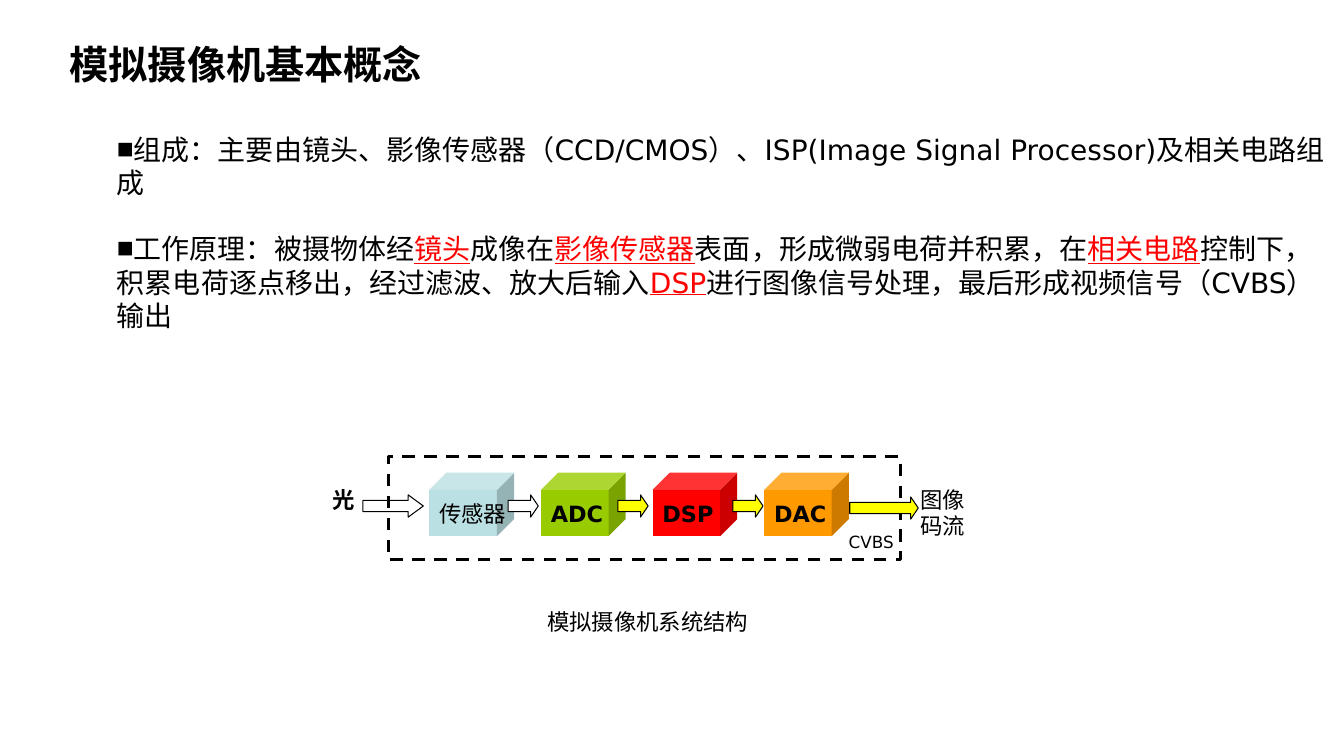
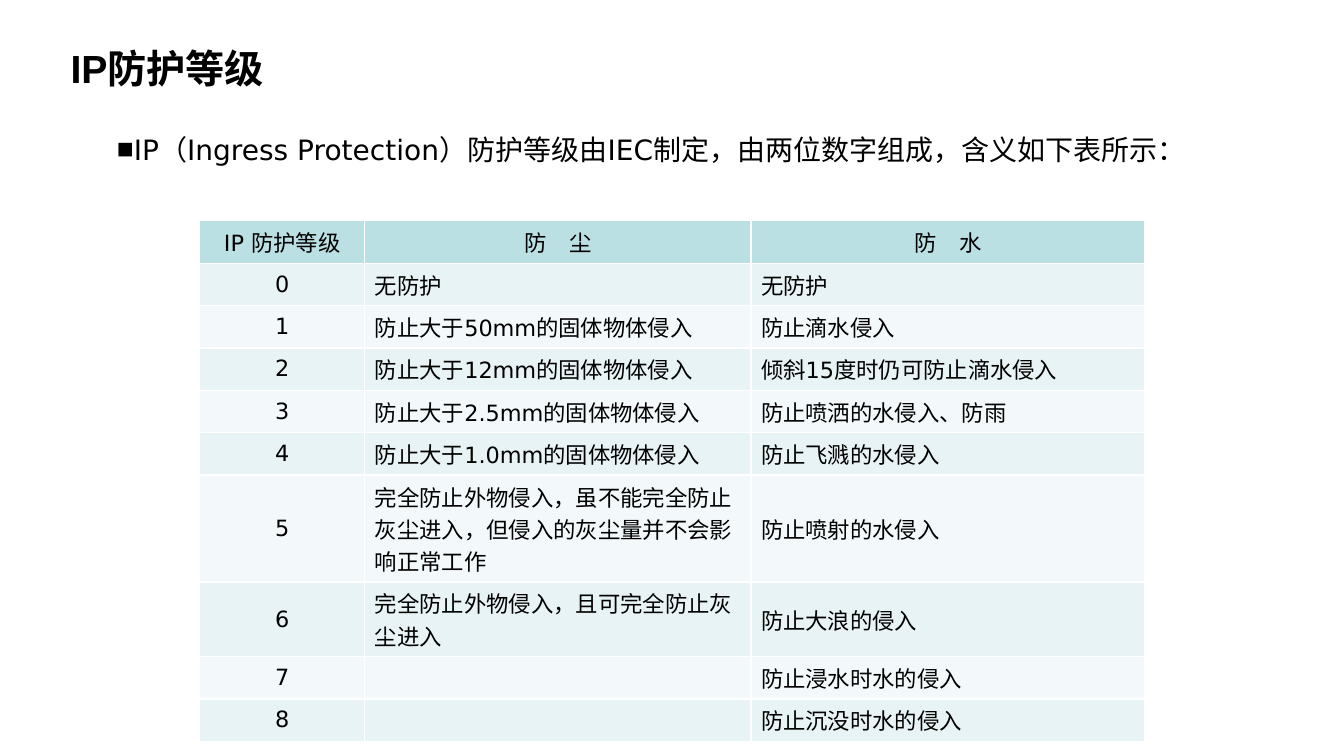
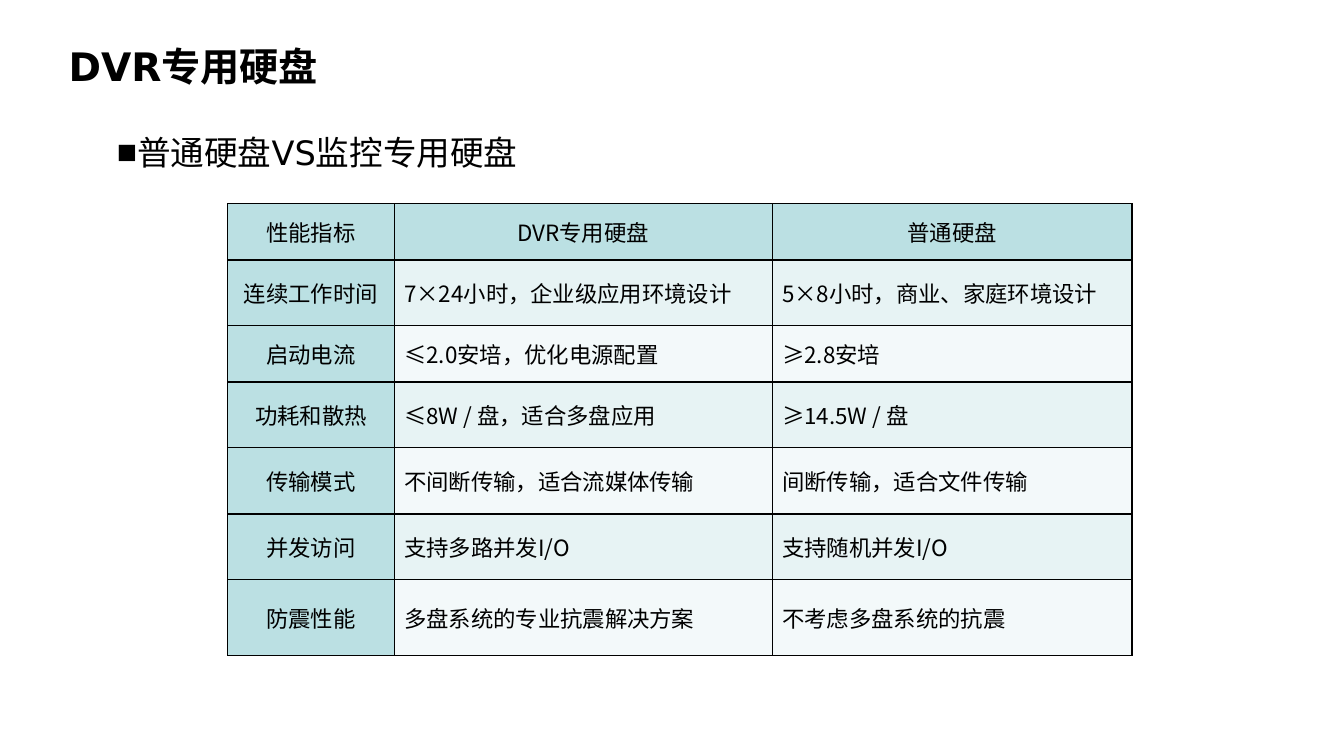
from lxml.etree import SubElement
from pptx import Presentation
from pptx.dml.color import RGBColor
from pptx.enum.dml import MSO_LINE
from pptx.enum.shapes import MSO_SHAPE
from pptx.enum.text import MSO_ANCHOR, MSO_AUTO_SIZE, PP_ALIGN
from pptx.oxml.ns import qn
from pptx.util import Inches, Pt

COLORS = {
    "ink": "000000", "paper": "FFFFFF", "accent": "FF0000", "header": "BBE0E3",
    "band": "E7F3F4", "pale": "F3F9FA", "green": "99CC00", "orange": "FF9900",
    "yellow": "FFFF00",
}
SANS, HEADING, CHINESE = "DejaVu Sans", "Arial", "Noto Sans CJK SC"
CELL = 0.1
COLUMNS, ROWS = 133.33, 75
LEADING = 1.2


def grid(*cells):
    return [Inches(cell * CELL) for cell in cells]


def color(name):
    return RGBColor.from_string(COLORS[name])


class Deck:
    def __init__(self):
        self.file = Presentation()
        self.file.slide_width, self.file.slide_height = grid(COLUMNS, ROWS)
        self.page = None

    def style(self, span, size, font=SANS, bold=False, ink="ink"):
        span.font.size = Pt(size)
        span.font.bold = bold
        span.font.color.rgb = color(ink)
        span.font.name = font
        properties = span.font._element
        SubElement(properties, qn("a:ea")).set("typeface", CHINESE)

    def move(self, shape, place):
        shape.left, shape.top, shape.width, shape.height = grid(*place)

    def new_page(self, title, left, top, font=HEADING):
        self.page = self.file.slides.add_slide(self.file.slide_layouts[1])
        box = self.page.shapes.title
        self.move(box, (left, top, 99.7, 5.5))
        frame = box.text_frame
        frame.text = title
        frame.auto_size = MSO_AUTO_SIZE.NONE
        frame.vertical_anchor = MSO_ANCHOR.MIDDLE
        frame.paragraphs[0].alignment = PP_ALIGN.LEFT
        self.style(frame.paragraphs[0].runs[0], 28, font, True)

    def bullets(self, items, size=20):
        box = self.page.placeholders[1]
        self.move(box, (10.6, 12.3, 122.8, 58.3))
        frame = box.text_frame
        frame.auto_size = MSO_AUTO_SIZE.NONE
        frame.margin_top = Inches(0.08)
        for index, item in enumerate(items):
            para = frame.add_paragraph() if index else frame.paragraphs[0]
            properties = para._p.get_or_add_pPr()
            properties.set("marL", "0")
            properties.set("indent", "0")
            ink = SubElement(properties, qn("a:buClr"))
            SubElement(ink, qn("a:srgbClr")).set("val", COLORS["ink"])
            SubElement(properties, qn("a:buFont")).set("typeface", HEADING)
            SubElement(properties, qn("a:buChar")).set("char", "■")
            para.line_spacing = Pt(size * LEADING)
            para.space_before = Pt(23 if index else 0)
            for order, piece in enumerate(item.split("|")):
                marked = order % 2 == 1
                span = para.add_run()
                span.text = piece
                self.style(span, size, ink="accent" if marked else "ink")
                span.font.underline = marked

    def shape(self, kind, place, fill=None, line=None, adjustments=()):
        shape = self.page.shapes.add_shape(kind, *grid(*place))
        shape.shadow.inherit = False
        for index, value in enumerate(adjustments):
            shape.adjustments[index] = value
        if fill:
            shape.fill.solid()
            shape.fill.fore_color.rgb = color(fill)
        else:
            shape.fill.background()
        if line:
            shape.line.color.rgb = color("ink")
            shape.line.width = Pt(line)
        else:
            shape.line.fill.background()
        return shape

    def cube(self, text, place, fill, bold=True):
        frame = self.shape(MSO_SHAPE.CUBE, place, fill, adjustments=[0.27]).text_frame
        frame.text = text
        frame.word_wrap = False
        frame.vertical_anchor = MSO_ANCHOR.MIDDLE
        frame.paragraphs[0].alignment = PP_ALIGN.LEFT
        self.style(frame.paragraphs[0].runs[0], 16, bold=bold)

    def arrow(self, place, fill, head=0.34):
        self.shape(MSO_SHAPE.RIGHT_ARROW, place, fill, 0.75, [0.5, head])

    def dashed_frame(self, place):
        frame = self.shape(MSO_SHAPE.RECTANGLE, place, line=2.25)
        frame.line.dash_style = MSO_LINE.DASH

    def label(self, text, place, size=16, bold=False):
        frame = self.page.shapes.add_textbox(*grid(*place)).text_frame
        frame.text = text
        frame.word_wrap = True
        para = frame.paragraphs[0]
        para.line_spacing = Pt(size * LEADING)
        self.style(para.runs[0], size, bold=bold)

    def borders(self, cell, ink):
        properties = cell._tc.get_or_add_tcPr()
        for side in ("lnL", "lnR", "lnT", "lnB"):
            edge = SubElement(properties, qn(f"a:{side}"), w=str(Pt(1)))
            fill = SubElement(edge, qn("a:solidFill"))
            SubElement(fill, qn("a:srgbClr")).set("val", COLORS[ink])

    def table(self, left, top, widths, heights, content, ink, font=SANS, header_column=False):
        place = grid(left, top, sum(widths), sum(heights))
        table = self.page.shapes.add_table(len(heights), len(widths), *place).table
        table.first_row = table.horz_banding = False
        for column, width in zip(table.columns, grid(*widths)):
            column.width = width
        for row, height in zip(table.rows, grid(*heights)):
            row.height = height
        for row, texts in enumerate(content):
            for column, text in enumerate(texts):
                cell = table.cell(row, column)
                self.borders(cell, ink)
                is_header = row == 0 or (header_column and column == 0)
                fill = "header" if is_header else "band" if row % 2 else "pale"
                cell.fill.solid()
                cell.fill.fore_color.rgb = color(fill)
                cell.vertical_anchor = MSO_ANCHOR.MIDDLE
                cell.text_frame.text = text
                para = cell.text_frame.paragraphs[0]
                centred = row == 0 or column == 0
                para.alignment = PP_ALIGN.CENTER if centred else PP_ALIGN.LEFT
                for span in para.runs:
                    self.style(span, 16, font)
                if not text:
                    SubElement(para._p, qn("a:endParaRPr")).set("sz", "1600")


def camera_page(deck):
    deck.new_page("模拟摄像机基本概念", 5.9, 3.6)
    deck.bullets([
        "组成：主要由镜头、影像传感器（CCD/CMOS）、ISP(Image Signal Processor)及相关电路组成",
        "工作原理：被摄物体经|镜头|成像在|影像传感器|表面，形成微弱电荷并积累，在|相关电路|"
        "控制下，积累电荷逐点移出，经过滤波、放大后输入|DSP|"
        "进行图像信号处理，最后形成视频信号（CVBS）输出",
    ])
    stages = [("传感器", "header"), ("ADC", "green"), ("DSP", "accent"), ("DAC", "orange")]
    for index, (name, fill) in enumerate(stages):
        deck.cube(name, (42.6 + 11.07 * index, 46.9, 8.4, 6.3), fill, bold=index > 0)
    deck.arrow((36, 49.1, 6, 2.2), "paper", 0.68)
    for left, fill in ((50.4, "paper"), (61.3, "yellow"), (72.7, "yellow")):
        deck.arrow((left, 49.1, 3, 2.2), fill)
    deck.label("光", (32, 47.7, 6, 3.7), bold=True)
    deck.label("图像码流", (90.3, 47.7, 7.9, 6.4))
    deck.dashed_frame((38.5, 45.3, 50.8, 10.2))
    deck.label("模拟摄像机系统结构", (53.3, 59.8, 22.6, 3.7))
    deck.arrow((84.3, 49.3, 6.8, 2.2), "yellow")
    deck.label("CVBS", (83.2, 52.3, 7.9, 3), 12)


def protection_page(deck):
    deck.new_page("IP防护等级", 6, 4)
    deck.bullets(["IP（Ingress Protection）防护等级由IEC制定，由两位数字组成，含义如下表所示："])
    levels = [
        ("无防护", "无防护"),
        ("防止大于50mm的固体物体侵入", "防止滴水侵入"),
        ("防止大于12mm的固体物体侵入", "倾斜15度时仍可防止滴水侵入"),
        ("防止大于2.5mm的固体物体侵入", "防止喷洒的水侵入、防雨"),
        ("防止大于1.0mm的固体物体侵入", "防止飞溅的水侵入"),
        ("完全防止外物侵入，虽不能完全防止灰尘进入，但侵入的灰尘量并不会影响正常工作", "防止喷射的水侵入"),
        ("完全防止外物侵入，且可完全防止灰尘进入", "防止大浪的侵入"),
        ("", "防止浸水时水的侵入"),
        ("", "防止沉没时水的侵入"),
    ]
    content = [("IP 防护等级", "防　尘", "防　水")]
    content += [(str(level), *texts) for level, texts in enumerate(levels)]
    deck.table(19.8, 21.9, [16.4, 38.3, 39.1], [4.2] * len(content), content, "paper")


def disk_page(deck):
    deck.new_page("DVR专用硬盘", 5.8, 3.8, SANS)
    deck.bullets(["普通硬盘VS监控专用硬盘"], 24)
    content = [
        ("性能指标", "DVR专用硬盘", "普通硬盘"),
        ("连续工作时间", "7×24小时，企业级应用环境设计", "5×8小时，商业、家庭环境设计"),
        ("启动电流", "≤2.0安培，优化电源配置", "≥2.8安培"),
        ("功耗和散热", "≤8W / 盘，适合多盘应用", "≥14.5W / 盘"),
        ("传输模式", "不间断传输，适合流媒体传输", "间断传输，适合文件传输"),
        ("并发访问", "支持多路并发I/O", "支持随机并发I/O"),
        ("防震性能", "多盘系统的专业抗震解决方案", "不考虑多盘系统的抗震"),
    ]
    heights = [5.6, 6.5, 5.6, 6.5, 6.6, 6.5, 7.5]
    deck.table(22.6, 20.2, [16.5, 37.5, 35.7], heights, content, "ink", CHINESE, True)


def main():
    deck = Deck()
    for build in (camera_page, protection_page, disk_page):
        build(deck)
    deck.file.save("out.pptx")


if __name__ == "__main__":
    main()
